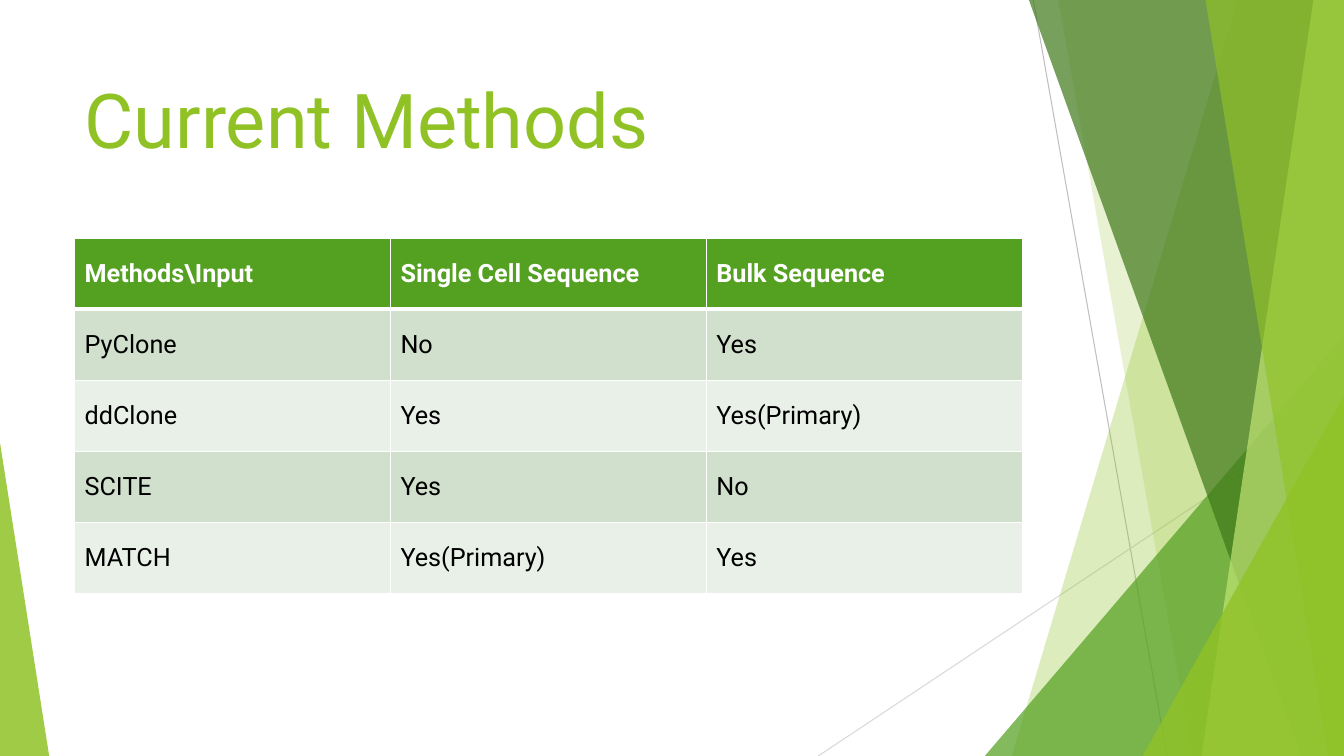
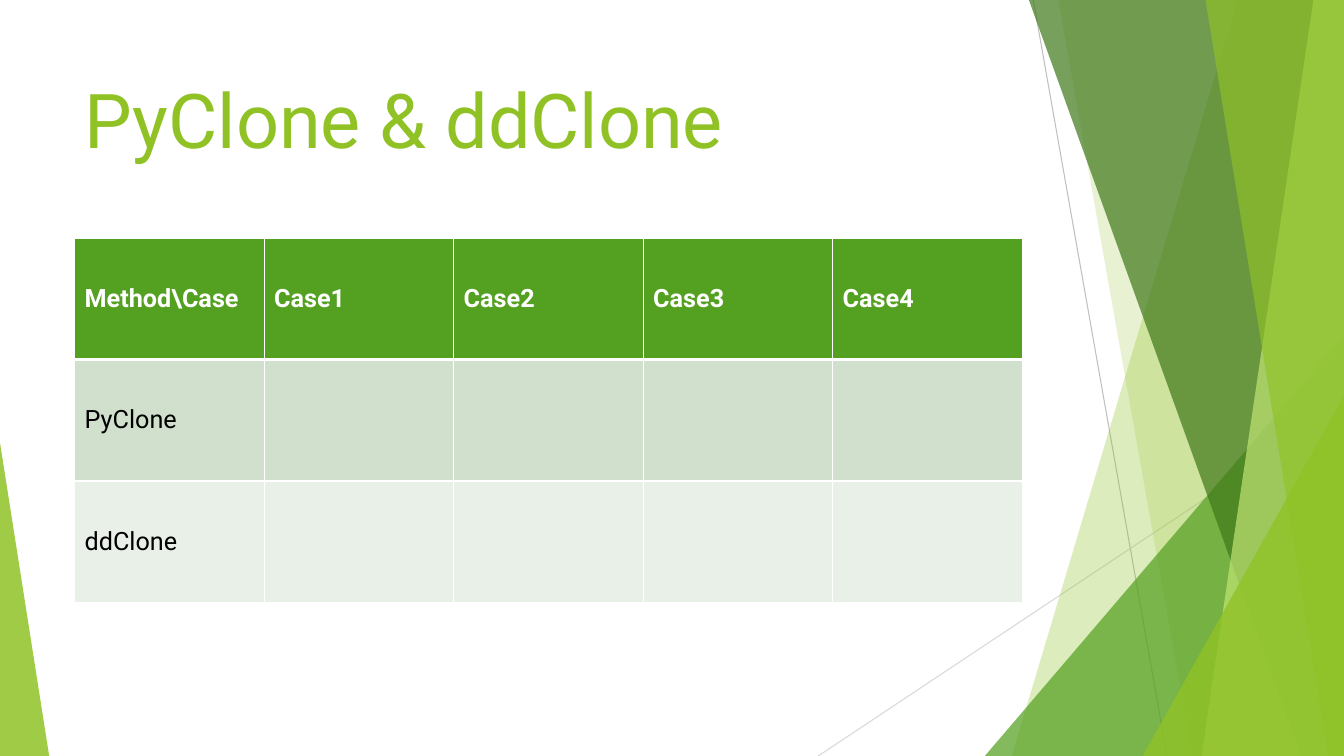
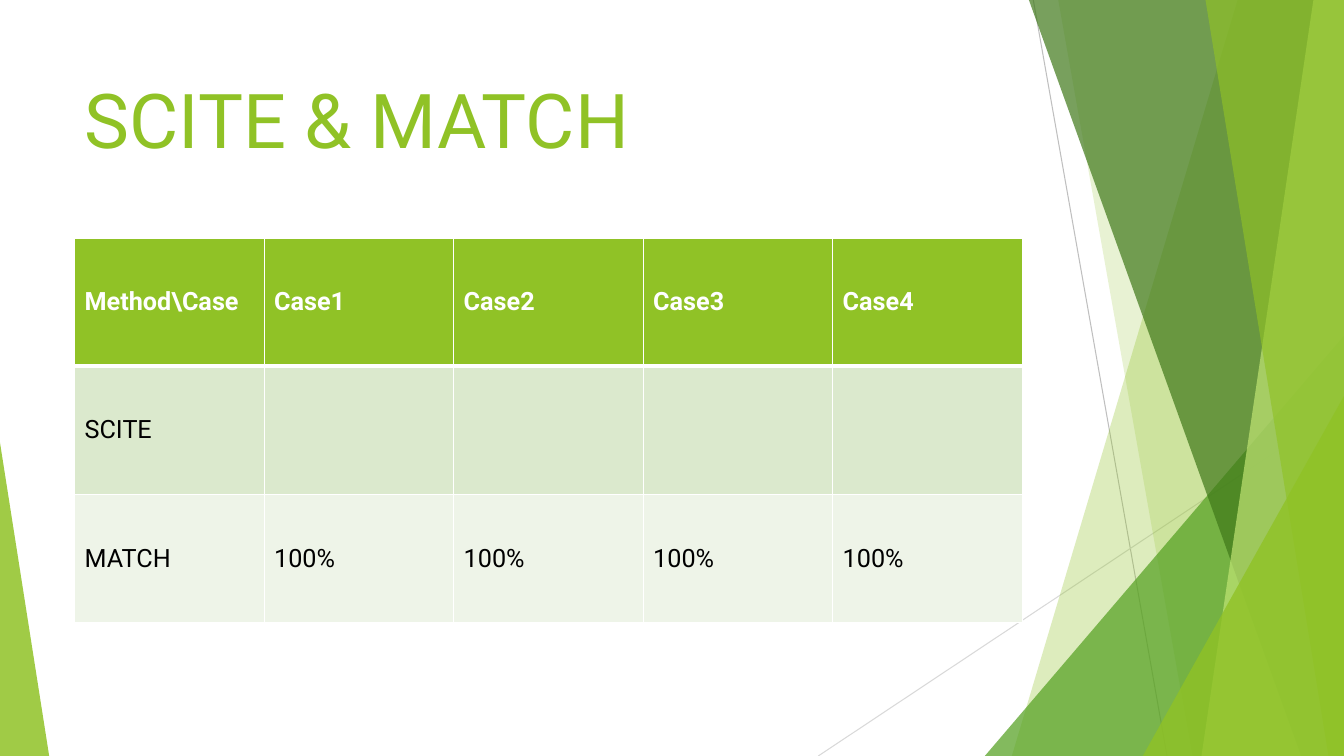
"""Build three slides comparing clone inference methods on a green faceted layout."""
from lxml.etree import SubElement
from pptx import Presentation
from pptx.dml.color import RGBColor
from pptx.enum.shapes import MSO_CONNECTOR, MSO_SHAPE
from pptx.enum.text import MSO_ANCHOR, MSO_AUTO_SIZE, PP_ALIGN
from pptx.oxml.ns import qn
from pptx.util import Cm, Pt

FONT = "Roboto"
WHITE = RGBColor(0xFF, 0xFF, 0xFF)
BLACK = RGBColor(0x00, 0x00, 0x00)
LIME = RGBColor(0x90, 0xC2, 0x26)
GREEN = RGBColor(0x54, 0xA0, 0x21)
DARK_GREEN = RGBColor(0x3F, 0x78, 0x19)
PALE_LIME = RGBColor(0xC0, 0xE4, 0x74)
GREY = RGBColor(0xBF, 0xBF, 0xBF)
LIGHT_GREY = RGBColor(0xD9, 0xD9, 0xD9)
GREEN_TABLE = (GREEN, RGBColor(0xD1, 0xDF, 0xCD), RGBColor(0xE9, 0xF0, 0xE8))
LIME_TABLE = (LIME, RGBColor(0xDB, 0xE9, 0xCD), RGBColor(0xEE, 0xF4, 0xE8))

CASE_HEADER = ["Method\\Case", "Case1", "Case2", "Case3", "Case4"]
SLIDES = [
    {
        "title": "Current Methods",
        "colors": GREEN_TABLE,
        "row_height": 1.79,
        "rows": [
            ["Methods\\Input", "Single Cell Sequence", "Bulk Sequence"],
            ["PyClone", "No", "Yes"],
            ["ddClone", "Yes", "Yes(Primary)"],
            ["SCITE", "Yes", "No"],
            ["MATCH", "Yes(Primary)", "Yes"],
        ],
    },
    {
        "title": "PyClone & ddClone",
        "colors": GREEN_TABLE,
        "row_height": 3.06,
        "rows": [CASE_HEADER, ["PyClone"] + [""] * 4, ["ddClone"] + [""] * 4],
    },
    {
        "title": "SCITE & MATCH",
        "colors": LIME_TABLE,
        "row_height": 3.23,
        "rows": [CASE_HEADER, ["SCITE"] + [""] * 4, ["MATCH"] + ["100%"] * 4],
    },
]

WIDTH, HEIGHT = 33.87, 19.05
LEFT, CONTENT_WIDTH = 1.88, 23.88
TITLE_TOP, TITLE_HEIGHT = 1.7, 3.66
TABLE_TOP = 6

RAYS = [
    (26.04, 0, 29.41, HEIGHT, GREY),
    (WIDTH, 10.24, 20.62, HEIGHT, LIGHT_GREY),
]
FACETS = [
    ("band", 31.19, 25.5, LIME, 30),
    ("band", 26.67, 30.05, LIME, 20),
    ("triangle", 24.82, WIDTH, 8.46, 1, GREEN, 72),
    ("band", 25.93, 32.79, DARK_GREEN, 70),
    ("band", 33.1, 30.28, PALE_LIME, 70),
    ("band", 30.38, 33.48, LIME, 65),
    ("triangle", 28.8, WIDTH, 9.98, 1, LIME, 80),
    ("triangle", 0, 1.24, 11.15, 0, LIME, 85),
]


def add_ray(shapes, start_x, start_y, end_x, end_y, color):
    ray = shapes.add_connector(
        MSO_CONNECTOR.STRAIGHT, Cm(start_x), Cm(start_y), Cm(end_x), Cm(end_y)
    )
    ray.line.color.rgb = color
    ray.line.width = Pt(0.75)
    SubElement(ray.element.spPr, qn("a:effectLst"))


def add_band(shapes, top_x, bottom_x):
    builder = shapes.build_freeform(Cm(top_x), 0)
    corners = [(WIDTH, 0), (WIDTH, HEIGHT), (bottom_x, HEIGHT)]
    builder.add_line_segments([(Cm(x), Cm(y)) for x, y in corners], close=True)
    return builder.convert_to_shape()


def add_triangle(shapes, left, right, top, apex):
    triangle = shapes.add_shape(
        MSO_SHAPE.ISOSCELES_TRIANGLE, Cm(left), Cm(top), Cm(right - left), Cm(HEIGHT - top)
    )
    triangle.adjustments[0] = apex
    return triangle


def fill_translucent(shape, color, opacity):
    shape.shadow.inherit = False
    shape.line.fill.background()
    shape.fill.solid()
    shape.fill.fore_color.rgb = color
    color_element = shape.element.spPr.find(".//" + qn("a:srgbClr"))
    SubElement(color_element, qn("a:alpha"), val=str(opacity * 1000))


def decorate_layout(layout, slide):
    """Draw the facets as one group and move it behind the layout's placeholders."""
    group = slide.shapes.add_group_shape()
    for ray in RAYS:
        add_ray(group.shapes, *ray)
    builders = {"band": add_band, "triangle": add_triangle}
    for kind, *geometry, color, opacity in FACETS:
        fill_translucent(builders[kind](group.shapes, *geometry), color, opacity)
    for number, properties in enumerate(group.element.iter(qn("p:cNvPr")), start=20):
        properties.set("id", str(number))
    layout.shapes.element.insert(2, group.element)


def place_layout_title(layout):
    title = layout.placeholders[0]
    title.left, title.top = Cm(LEFT), Cm(TITLE_TOP)
    title.width, title.height = Cm(CONTENT_WIDTH), Cm(TITLE_HEIGHT)


def format_run(run, size, color, bold=False):
    run.font.name = FONT
    run.font.size = Pt(size)
    run.font.bold = bold
    run.font.color.rgb = color


def set_title(slide, text):
    text_frame = slide.shapes.title.text_frame
    text_frame.text = text
    text_frame.auto_size = MSO_AUTO_SIZE.NONE
    text_frame.vertical_anchor = MSO_ANCHOR.TOP
    paragraph = text_frame.paragraphs[0]
    paragraph.alignment = PP_ALIGN.LEFT
    format_run(paragraph.runs[0], 54, LIME)


def set_borders(cell, top, bottom):
    properties = cell._tc.get_or_add_tcPr()
    for side, points in (("L", 1), ("R", 1), ("T", top), ("B", bottom)):
        line = SubElement(properties, qn(f"a:ln{side}"), w=str(Pt(points)))
        SubElement(SubElement(line, qn("a:solidFill")), qn("a:srgbClr"), val=str(WHITE))


def add_method_table(slide, rows, row_height, colors):
    column_count = len(rows[0])
    table = slide.shapes.add_table(
        len(rows), column_count, Cm(LEFT), Cm(TABLE_TOP),
        Cm(CONTENT_WIDTH), Cm(row_height * len(rows)),
    ).table
    table.horz_banding = False
    header_color, *band_colors = colors
    for row_index, texts in enumerate(rows):
        is_header = row_index == 0
        for column_index, text in enumerate(texts):
            cell = table.cell(row_index, column_index)
            set_borders(cell, 3 if row_index == 1 else 1, 3 if is_header else 1)
            cell.fill.solid()
            cell.fill.fore_color.rgb = header_color if is_header else band_colors[(row_index - 1) % 2]
            cell.vertical_anchor = MSO_ANCHOR.MIDDLE
            cell.text_frame.text = text
            for run in cell.text_frame.paragraphs[0].runs:
                format_run(run, 18, WHITE if is_header else BLACK, is_header)


def main():
    presentation = Presentation()
    presentation.slide_width, presentation.slide_height = Cm(WIDTH), Cm(HEIGHT)
    layout = presentation.slide_layouts.get_by_name("Title Only")
    place_layout_title(layout)
    for content in SLIDES:
        slide = presentation.slides.add_slide(layout)
        set_title(slide, content["title"])
        add_method_table(slide, content["rows"], content["row_height"], content["colors"])
    decorate_layout(layout, presentation.slides[0])
    presentation.save("out.pptx")


if __name__ == "__main__":
    main()
